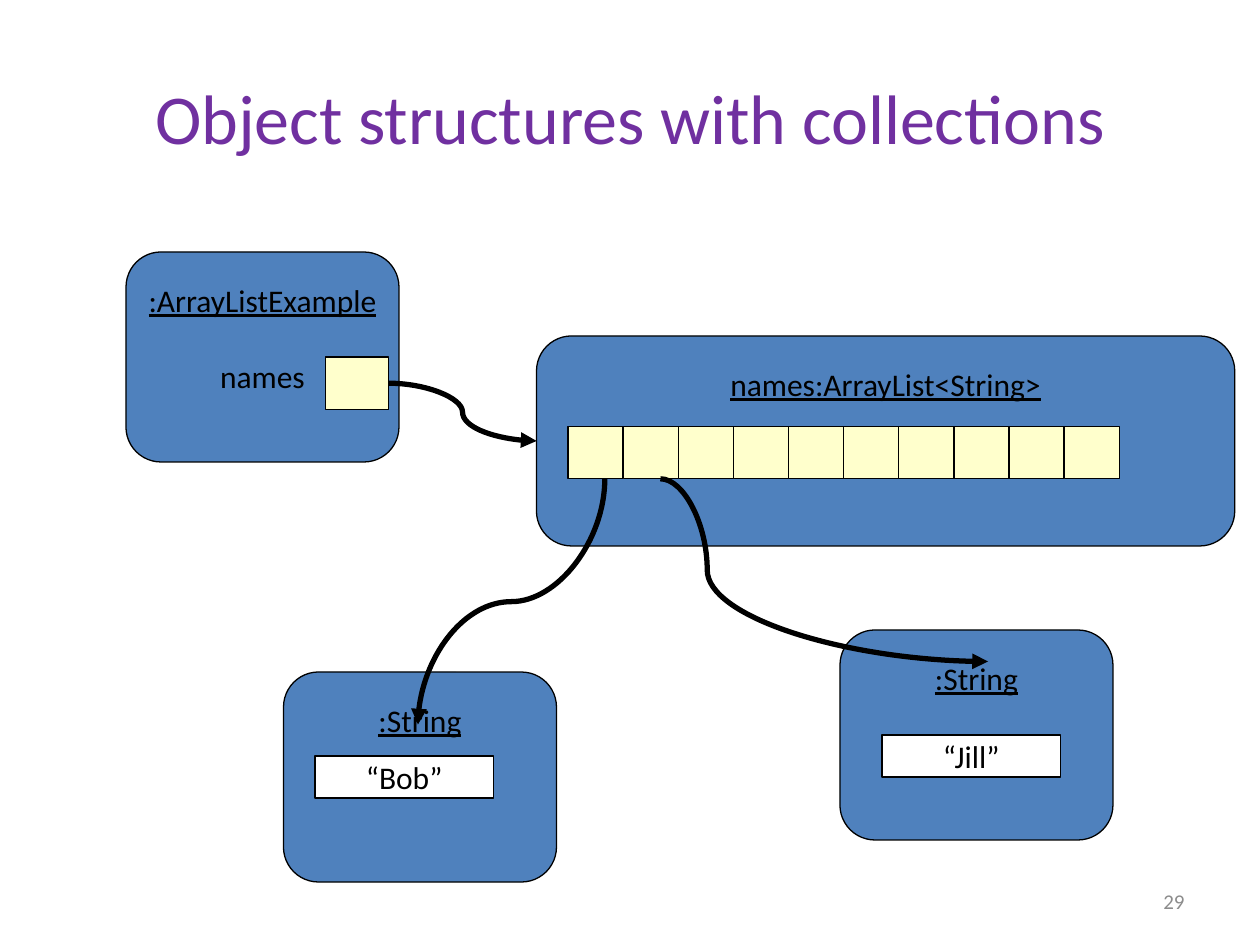
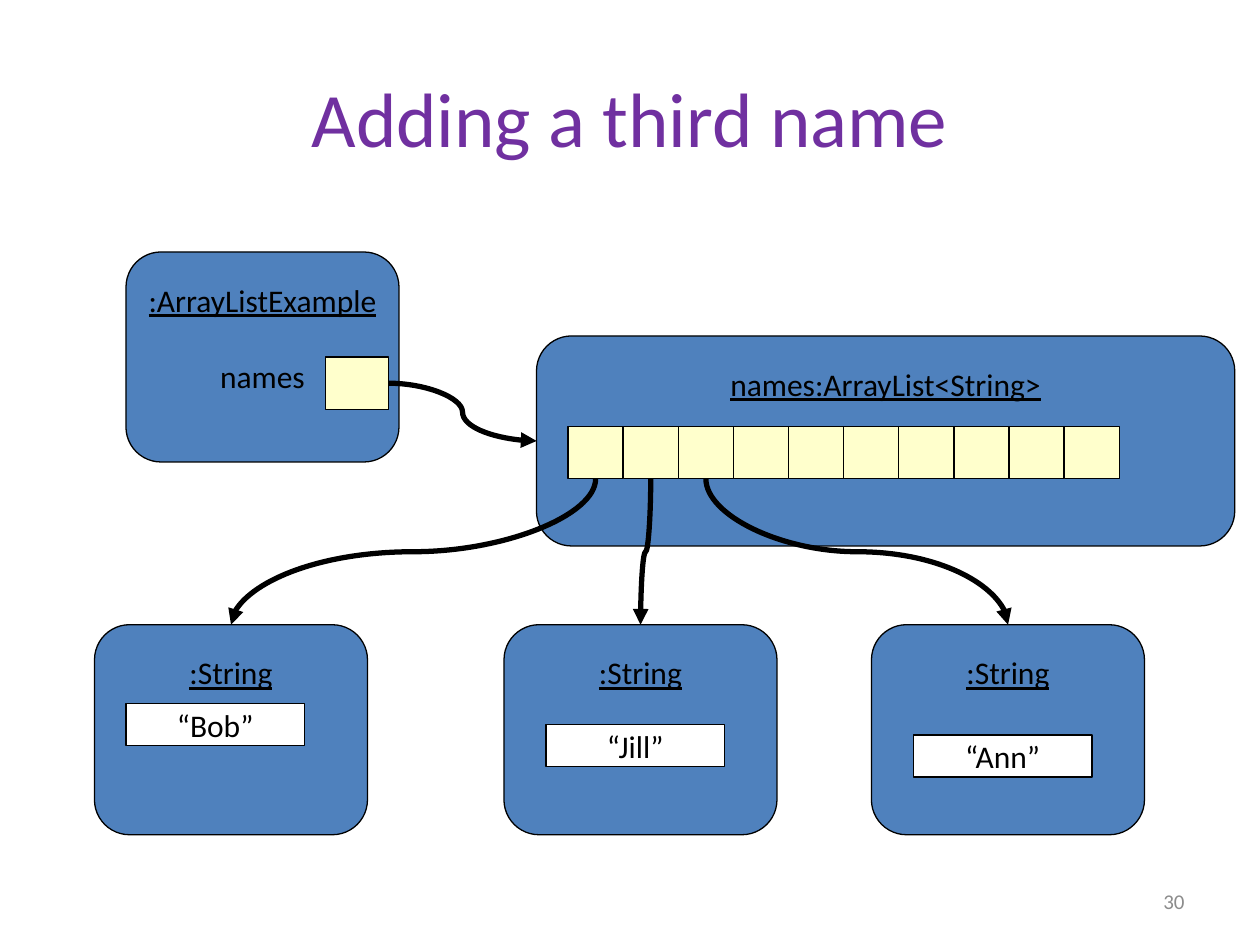
"""Build two slides showing the objects behind a list of names."""
import dataclasses

import lxml.etree
import pptx
import pptx.dml.color
import pptx.enum.shapes
import pptx.enum.text
import pptx.oxml.ns
import pptx.util


@dataclasses.dataclass(frozen=True)
class Theme:
    font: str = "Calibri"
    title: str = "7030A0"
    ink: str = "000000"
    muted: str = "8C8C8C"
    object_fill: str = "4F81BD"
    slot_fill: str = "FFFFCC"
    value_fill: str = "FFFFFF"
    body_size: int = 18
    number_size: int = 12
    outline: float = 0.75
    arrow: int = 3


theme = Theme()
rgb = pptx.dml.color.RGBColor.from_string
Pt = pptx.util.Pt
qn = pptx.oxml.ns.qn
ALIGN = pptx.enum.text.PP_ALIGN
MIDDLE = pptx.enum.text.MSO_ANCHOR.MIDDLE
TOP = pptx.enum.text.MSO_ANCHOR.TOP
RECT = pptx.enum.shapes.MSO_SHAPE.RECTANGLE
ROUND = pptx.enum.shapes.MSO_SHAPE.ROUNDED_RECTANGLE
CURVE = pptx.enum.shapes.MSO_CONNECTOR.CURVE

prs = pptx.Presentation()
prs.slide_width = pptx.util.Inches(10)
prs.slide_height = pptx.util.Inches(7.5)
COLS, ROWS = 120, 90
UNIT = prs.slide_width / COLS
OBJECT_W, OBJECT_H = 26, 20
LIST_X, LIST_Y, LIST_W = 51.1, 32, 66.5
SLOT_X, SLOT_Y, SLOT_W, SLOT_H = 54.1, 40.6, 5.25, 5
SLOT_COUNT = 10
SLOT_BOTTOM = SLOT_Y + SLOT_H


def write(tf, text, size=theme.body_size, color=theme.ink, align=ALIGN.CENTER,
          anchor=MIDDLE, wrap=False, underline=None, new=False):
    """Write one paragraph and return it."""
    tf.word_wrap, tf.vertical_anchor = wrap, anchor
    p = tf.add_paragraph() if new else tf.paragraphs[0]
    p.alignment = align
    r = p.add_run()
    r.text = text
    r.font.name, r.font.size, r.font.underline = theme.font, Pt(size), underline
    r.font.color.rgb = rgb(color)
    return p


def box(shapes, kind, x, y, w, h, fill, heading=None):
    """Draw an outlined box on the grid, with an underlined heading if given."""
    sp = shapes.add_shape(kind, *(round(v * UNIT) for v in (x, y, w, h)))
    sp.shadow.inherit = False
    sp.fill.solid()
    sp.fill.fore_color.rgb = rgb(fill)
    sp.line.color.rgb = rgb(theme.ink)
    sp.line.width = Pt(theme.outline)
    if heading:
        sp.text_frame.margin_top = round(1.75 * UNIT)
        write(sp.text_frame, heading, anchor=TOP, underline=True)
    return sp


slot_centres = [SLOT_X + SLOT_W * (i + 0.5) for i in range(SLOT_COUNT)]
row_y = 59.5
names_row = [("“Bob”", 9, row_y, 12, 67), ("“Jill”", 48, row_y, 52, 69),
             ("“Ann”", 83, row_y, 87, 70)]
names_arrow = (37, 36.5, LIST_X, 42, False, 0.5)

slides = [
    ("Object structures with collections", 40, 29,
     [("“Bob”", 27, 64, 30, 72), ("“Jill”", 80, 60, 84, 70)],
     [(57.6, SLOT_BOTTOM, 39.8, 69, True, 0.5),
      (62.9, SLOT_BOTTOM, 94.1, 63, False, 0.143)]),
    ("Adding a third name", 44, 30, names_row,
     [(slot, SLOT_BOTTOM, x + OBJECT_W / 2, y, True, 0.5)
      for slot, (_, x, y, _, _) in zip(slot_centres, names_row)]),
]

for title, title_size, number, strings, arrows in slides:
    slide = prs.slides.add_slide(prs.slide_layouts[5])
    shapes = slide.shapes
    sp = shapes.title
    sp.left, sp.top, sp.width, sp.height = (
        round(v * UNIT) for v in (6, 3.6, 108, 15))
    write(sp.text_frame, title, size=title_size, color=theme.title, wrap=True)

    box(shapes, ROUND, LIST_X, LIST_Y, LIST_W, OBJECT_H, theme.object_fill,
        "names:ArrayList<String>")
    for i in range(SLOT_COUNT):
        box(shapes, RECT, SLOT_X + i * SLOT_W, SLOT_Y, SLOT_W, SLOT_H,
            theme.slot_fill)

    sp = box(shapes, ROUND, 12, 24, OBJECT_W, OBJECT_H, theme.object_fill,
             ":ArrayListExample")
    p = write(sp.text_frame, "names", anchor=TOP, new=True)
    p.space_before = Pt(22)
    p._p.get_or_add_pPr().set("indent", str(round(-1.4 * UNIT)))
    box(shapes, RECT, 31, 34, 6, SLOT_H, theme.slot_fill)

    for value, x, y, value_x, value_y in strings:
        box(shapes, ROUND, x, y, OBJECT_W, OBJECT_H, theme.object_fill, ":String")
        sp = box(shapes, RECT, value_x, value_y, 17, 4, theme.value_fill)
        write(sp.text_frame, value)

    for x1, y1, x2, y2, vertical, bend in [names_arrow] + arrows:
        ends = x1, y1, x2, y2
        if vertical:
            cx, cy = (x1 + x2) / 2, (y1 + y2) / 2
            half_w, half_h = (y2 - y1) / 2, abs(x2 - x1) / 2
            side = 1 if x2 < x1 else -1
            ends = (cx - side * half_w, cy - half_h,
                    cx + side * half_w, cy + half_h)
        cxn = shapes.add_connector(CURVE, *(round(v * UNIT) for v in ends))
        cxn.line.color.rgb = rgb(theme.ink)
        cxn.line.width = Pt(theme.arrow)
        spPr = cxn._element.spPr
        if vertical:
            spPr.find(qn("a:xfrm")).set("rot", str((90 if side > 0 else 270) * 60000))
        guides = spPr.find(qn("a:prstGeom")).find(qn("a:avLst"))
        lxml.etree.SubElement(guides, qn("a:gd"), name="adj1",
                              fmla=f"val {round(bend * 100000)}")
        lxml.etree.SubElement(spPr.find(qn("a:ln")), qn("a:tailEnd"), type="triangle")
        lxml.etree.SubElement(spPr, qn("a:effectLst"))

    sp = shapes.add_textbox(*(round(v * UNIT) for v in (86, 83.4, 28, 4.8)))
    write(sp.text_frame, str(number), size=theme.number_size, color=theme.muted,
          align=ALIGN.RIGHT, wrap=True)

prs.save("out.pptx")
